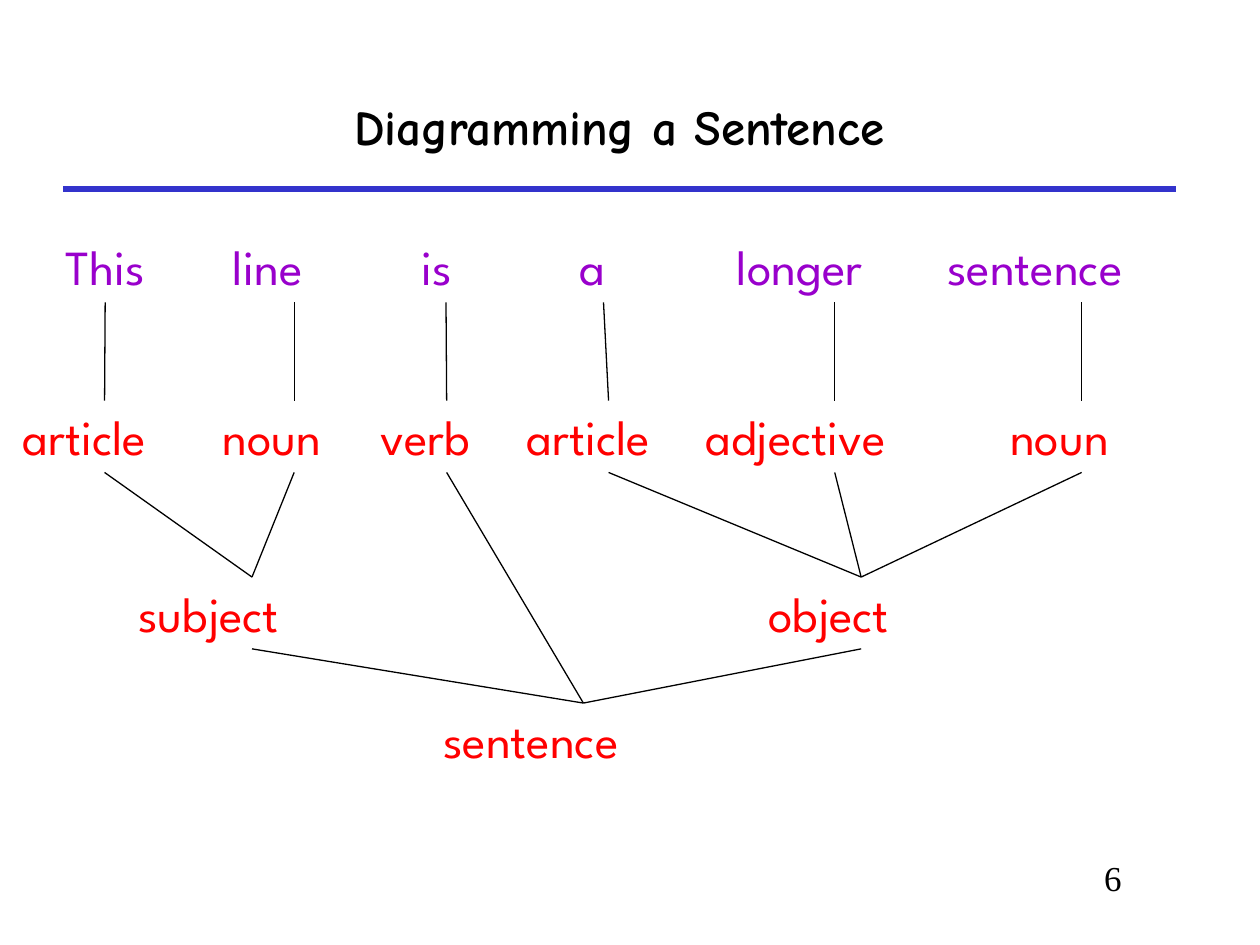
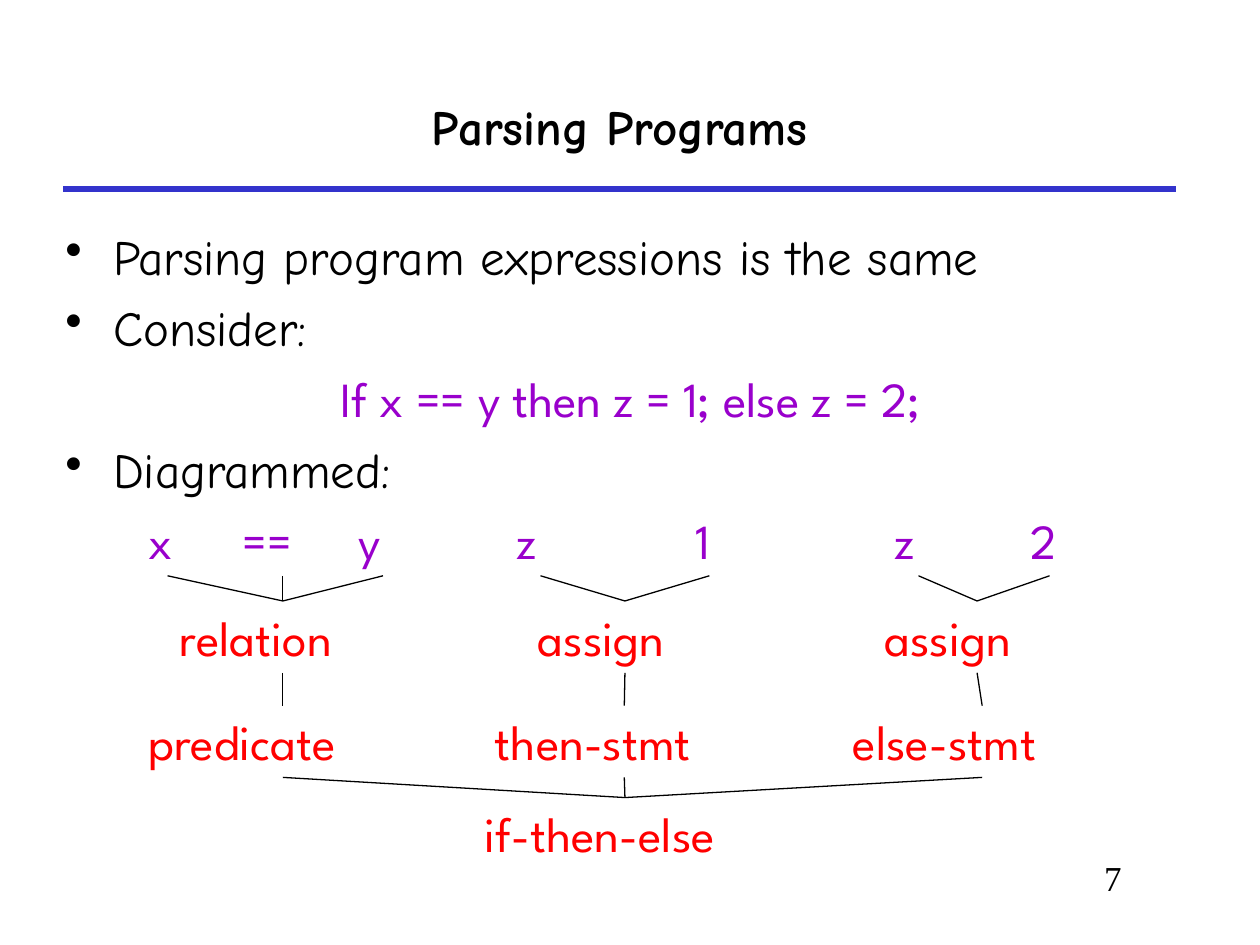
from pptx import Presentation
from pptx.dml.color import RGBColor
from pptx.enum.shapes import MSO_CONNECTOR as Connector
from pptx.enum.text import MSO_ANCHOR as Anchor, PP_ALIGN as Align
from pptx.oxml.ns import qn
from pptx.util import Inches, Pt
from lxml.etree import SubElement

TOP, BOTTOM = 0, 2


def color(code):
    """Turn a hex string into a colour."""
    return RGBColor.from_string(code)


class DiagramDeck:
    """Hold the deck's style and the current page."""

    HAND, SANS, SERIF = "Comic Neue", "League Spartan", "Times New Roman"
    INK, RULE, TERM, GRAMMAR = "000000", "3333CC", "9900CC", "FF0000"
    SIZE, NODE_HEIGHT = 28, 0.57

    def __init__(self):
        """Start an empty deck of 10 by 7.5 inches."""
        self.deck = Presentation()
        self.deck.slide_width, self.deck.slide_height = Inches(10), Inches(7.5)
        self.page = None

    def add_page(self, title, number):
        """Add a page with its rule, number and title."""
        self.page = self.deck.slides.add_slide(self.deck.slide_layouts[6])
        self.line((0.5, 1.5), (9.33, 1.5), self.RULE, 3)
        footer = self.box(6.92, 6.75, 2.08, 0.5).text_frame
        self.style(footer.paragraphs[0], str(number), self.SERIF, self.INK, 20, Align.RIGHT)
        heading = self.box(0.5, 0.5, 8.83, 1).text_frame
        heading.vertical_anchor = Anchor.MIDDLE
        para = heading.paragraphs[0]
        self.style(para, title, self.HAND, self.INK, align=Align.CENTER)
        para.font.bold = True

    def box(self, left, top, width, height):
        """Add a wrapping text box."""
        shape = self.page.shapes.add_textbox(*map(Inches, (left, top, width, height)))
        shape.text_frame.word_wrap = True
        return shape

    def style(self, para, text, font, code, size=SIZE, align=Align.LEFT):
        """Fill a paragraph with styled text."""
        para.text, para.alignment = text, align
        para.font.name, para.font.size = font, Pt(size)
        para.font.color.rgb = color(code)

    def line(self, start, end, code=INK, width=0.75):
        """Draw a straight line without a shadow."""
        connector = self.page.shapes.add_connector(
            Connector.STRAIGHT, *map(Inches, (*start, *end)))
        connector.line.color.rgb = color(code)
        connector.line.width = Pt(width)
        SubElement(connector._element.spPr, qn("a:effectLst"))
        return connector

    def row(self, top, code, *words):
        """Set a row of (text, left, width) nodes and return their shapes."""
        nodes = []
        for text, left, width in words:
            node = self.box(left, top, width, self.NODE_HEIGHT)
            para = node.text_frame.paragraphs[0]
            self.style(para, text, self.SANS, code)
            para.space_before = Pt(17.5)
            nodes.append(node)
        return nodes

    def join(self, parts, whole):
        """Link each part's bottom to the top of the whole."""
        for part in parts:
            connector = self.line((0, 0), (0, 0))
            connector.begin_connect(part, BOTTOM)
            connector.end_connect(whole, TOP)

    def body(self, items):
        """Set (text, is_code) items as bullets or centred code."""
        frame = self.box(0.42, 1.75, 9.17, 2.42).text_frame
        for index, (text, is_code) in enumerate(items):
            para = frame.add_paragraph() if index else frame.paragraphs[0]
            if is_code:
                self.style(para, text, self.SANS, self.TERM, align=Align.CENTER)
            else:
                self.style(para, text, self.HAND, self.INK)
            para.space_before = Pt(7)
            properties = para._p.get_or_add_pPr()
            properties.set("marL", str(Inches(0.38)))
            properties.set("indent", str(Inches(-0.38)))
            if not is_code:
                bullet = SubElement(properties, qn("a:buChar"), char="•")
                properties.find(qn("a:defRPr")).addprevious(bullet)


def sentence_page(deck):
    """Diagram an English sentence."""
    deck.add_page("Diagramming a Sentence", 6)
    words = deck.row(1.83, deck.TERM, ("This", 0.42, 0.83), ("line", 1.75, 1.17),
                     ("is", 3.25, 0.58), ("a", 4.5, 0.58),
                     ("longer", 5.75, 1.75), ("sentence", 7.42, 2.33))
    kinds = deck.row(3.18, deck.GRAMMAR, ("article", 0.08, 1.5), ("noun", 1.67, 1.33),
                     ("verb", 2.92, 1.25), ("article", 4.08, 1.5),
                     ("adjective", 5.5, 2.25), ("noun", 7.92, 1.33))
    subject, target = deck.row(4.58, deck.GRAMMAR, ("subject", 1, 2), ("object", 6, 1.67))
    [sentence] = deck.row(5.58, deck.GRAMMAR, ("sentence", 3.42, 2.42))
    for word, kind in zip(words, kinds):
        deck.join([word], kind)
    deck.join(kinds[:2], subject)
    deck.join(kinds[3:], target)
    deck.join([subject, kinds[2], target], sentence)


def program_page(deck):
    """Diagram a conditional statement."""
    deck.add_page("Parsing Programs", 7)
    deck.body([("Parsing program expressions is the same", False),
               ("Consider:", False),
               ("If x == y then z = 1; else z = 2;", True),
               ("Diagrammed:", False)])
    tokens = deck.row(4, deck.TERM, ("x", 1.08, 0.5), ("==", 1.83, 0.83),
                      ("y", 2.75, 0.58), ("z", 4, 0.58), ("1", 5.42, 0.42),
                      ("z", 7, 0.58), ("2", 8.08, 0.5))
    actions = deck.row(4.77, deck.GRAMMAR, ("relation", 1.33, 1.83),
                       ("assign", 4.17, 1.58), ("assign", 6.92, 1.67))
    clauses = deck.row(5.6, deck.GRAMMAR, ("predicate", 1.08, 2.33),
                       ("then-stmt", 3.83, 2.25), ("else-stmt", 6.67, 2.25))
    [conditional] = deck.row(6.33, deck.GRAMMAR, ("if-then-else", 3.75, 2.42))
    groups = tokens[:3], tokens[3:5], tokens[5:]
    for group, action, clause in zip(groups, actions, clauses):
        deck.join(group, action)
        deck.join([action], clause)
    deck.join(clauses, conditional)


def main():
    """Build both pages and save the deck."""
    deck = DiagramDeck()
    sentence_page(deck)
    program_page(deck)
    deck.deck.save("out.pptx")


if __name__ == "__main__":
    main()
